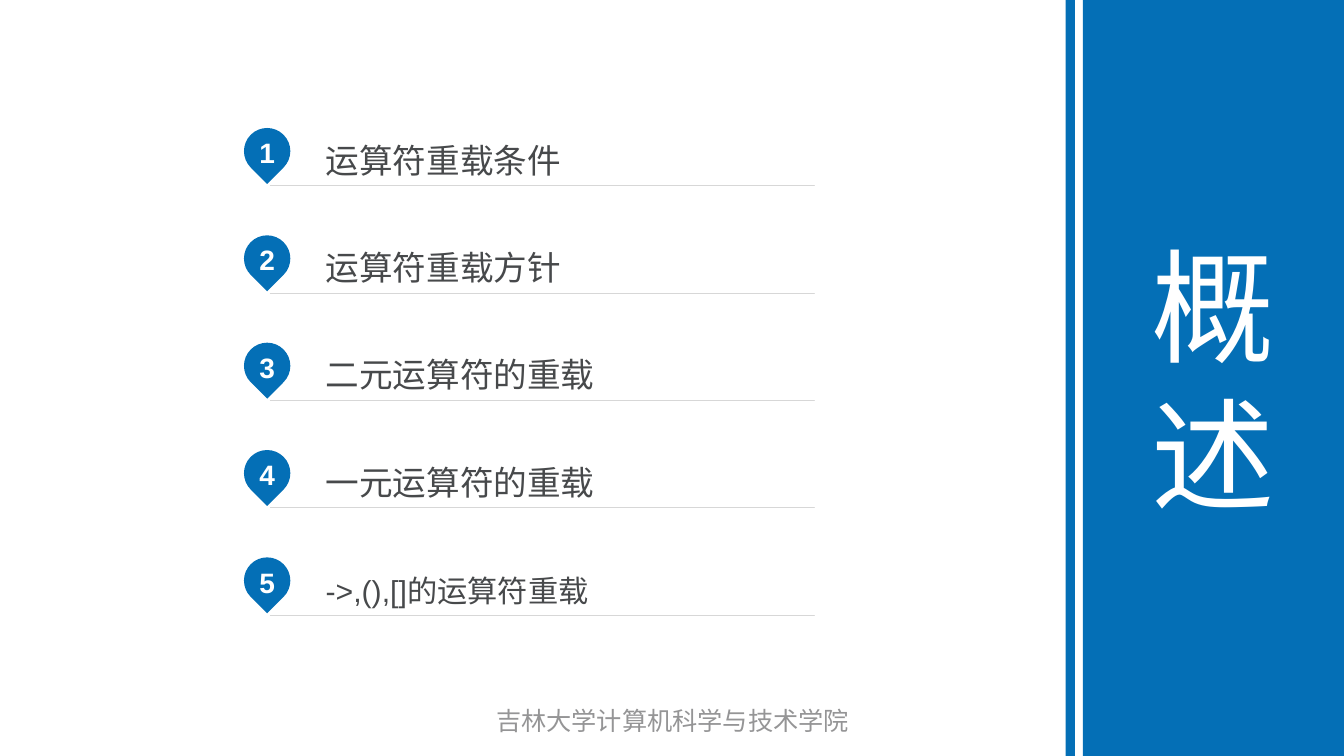
import math

import pptx
import pptx.dml.color
import pptx.enum.shapes
import pptx.enum.text
import pptx.oxml.ns
import pptx.util
from lxml import etree

Inches = pptx.util.Inches
ALIGN = pptx.enum.text.PP_ALIGN
COLORS = {"blue": "046FB6", "white": "FFFFFF", "text": "47494B",
          "rule": "D7D7D7", "footer": "959596"}
WIDTH, HEIGHT = 13.33, 7.5

# Agenda entries: text, size, line spacing
TOPICS = [("运算符重载条件", 24, 1.2),
          ("运算符重载方针", 24, 1.2),
          ("二元运算符的重载", 24, 1.2),
          ("一元运算符的重载", 24, 1.2),
          ("->,(),[]的运算符重载", 21.6, 1.3)]


def color(name):
    return pptx.dml.color.RGBColor.from_string(COLORS[name])


def write(shape, text, size, ink, align=ALIGN.CENTER, bold=False,
          spacing=None, insets=(0.1, 0.05, 0.1, 0.05)):
    """Fill a shape with one vertically centred paragraph."""
    frame = shape.text_frame
    frame.word_wrap = True
    frame.vertical_anchor = pptx.enum.text.MSO_ANCHOR.MIDDLE
    (frame.margin_left, frame.margin_top,
     frame.margin_right, frame.margin_bottom) = map(Inches, insets)
    para = frame.paragraphs[0]
    para.alignment = align
    if spacing:
        para.line_spacing = spacing
    span = para.add_run()
    span.text = text
    span.font.name = "Arial"
    span.font.size = pptx.util.Pt(size)
    span.font.bold = bold
    span.font.color.rgb = color(ink)


def paint(shape):
    shape.shadow.inherit = False
    shape.fill.solid()
    shape.fill.fore_color.rgb = color("blue")
    shape.line.fill.background()


def arc(radius, start, end):
    """Bezier points of an arc on a circle that touches the local axes."""
    start, end = math.radians(start), math.radians(end)
    pull = 4 / 3 * math.tan((end - start) / 4)
    offsets = [(math.cos(start) - pull * math.sin(start),
                math.sin(start) + pull * math.cos(start)),
               (math.cos(end) + pull * math.sin(end),
                math.sin(end) - pull * math.cos(end)),
               (math.cos(end), math.sin(end))]
    return [(radius * (1 + x), radius * (1 + y)) for x, y in offsets]


def add_pin(page, left, top, width, number):
    """A round marker whose sides run at 45 degrees to a point below."""
    radius = width / 2
    depth = radius * (1 + math.sqrt(2))
    builder = page.shapes.build_freeform(Inches(left + radius), Inches(top))
    builder.add_line_segments(
        [(Inches(left + width), Inches(top + radius)),
         (Inches(left + radius), Inches(top + depth)),
         (Inches(left), Inches(top + radius))], close=True)
    pin = builder.convert_to_shape()

    # Round the outline, keeping its straight sides
    shoulder = arc(radius, 45, 135)[-1]
    steps = [("moveTo", [(radius, 0)]),
             ("cubicBezTo", arc(radius, 270, 315)),
             ("cubicBezTo", arc(radius, 315, 405)),
             ("lnTo", [(radius, depth)]),
             ("lnTo", [shoulder]),
             ("cubicBezTo", arc(radius, 135, 225)),
             ("cubicBezTo", arc(radius, 225, 270)),
             ("close", [])]
    outline = pin._element.find(".//" + pptx.oxml.ns.qn("a:path"))
    for child in list(outline):
        outline.remove(child)
    for name, points in steps:
        step = etree.SubElement(outline, pptx.oxml.ns.qn("a:" + name))
        for x, y in points:
            etree.SubElement(step, pptx.oxml.ns.qn("a:pt"),
                             x=str(int(Inches(x))), y=str(int(Inches(y))))

    paint(pin)
    write(pin, str(number), 20, "white", bold=True, insets=(0.1, 0.05, 0.1, 0.12))


def add_topic(page, left, top, width, height, topic, size, spacing):
    """A text area outlined only along its bottom edge."""
    start, end = Inches(left), Inches(left + width)
    upper, lower = Inches(top), Inches(top + height)
    builder = page.shapes.build_freeform(start, lower)
    builder.add_line_segments([(end, lower), (start, lower)], close=True)
    builder.move_to(start, upper)
    builder.add_line_segments([(start, upper), (start, upper)], close=True)
    box = builder.convert_to_shape()
    box.shadow.inherit = False
    box.fill.background()
    box.line.color.rgb = color("rule")
    box.line.width = pptx.util.Pt(0.25)
    write(box, topic, size, "text", align=ALIGN.LEFT, spacing=spacing,
          insets=(0.55, 0, 0, 0.04))


def add_agenda(page, left, top, width, height):
    row_height, pin_width, indent = 0.55, 0.46, 0.26
    pitch = (height - row_height) / (len(TOPICS) - 1)
    for index, (topic, size, spacing) in enumerate(TOPICS):
        row_top = top + index * pitch
        add_pin(page, left, row_top, pin_width, index + 1)
        add_topic(page, left + indent, row_top + 0.02, width - indent,
                  row_height, topic, size, spacing)


def add_title_panel(page, left, top, width, height):
    stripe_width, gap = 0.09, 0.08
    panel_offset = stripe_width + gap
    bands = [(left + panel_offset, width - panel_offset), (left, stripe_width)]
    panel, stripe = [
        page.shapes.add_shape(pptx.enum.shapes.MSO_SHAPE.RECTANGLE,
                              Inches(band_left), Inches(top),
                              Inches(band_width), Inches(height))
        for band_left, band_width in bands]
    paint(panel)
    paint(stripe)
    write(panel, "概述", 88, "white")


def add_footer(page, left, top, width, height):
    box = page.shapes.add_textbox(Inches(left), Inches(top),
                                  Inches(width), Inches(height))
    write(box, "吉林大学计算机科学与技术学院", 18, "footer")


def main():
    deck = pptx.Presentation()
    deck.slide_width, deck.slide_height = Inches(WIDTH), Inches(HEIGHT)
    page = deck.slides.add_slide(deck.slide_layouts[6])
    add_agenda(page, 2.42, 1.27, 5.66, 4.81)
    add_title_panel(page, 10.57, 0, WIDTH - 10.57, HEIGHT)
    add_footer(page, 4.42, 6.95, 4.5, 0.4)
    deck.save("out.pptx")


if __name__ == "__main__":
    main()
